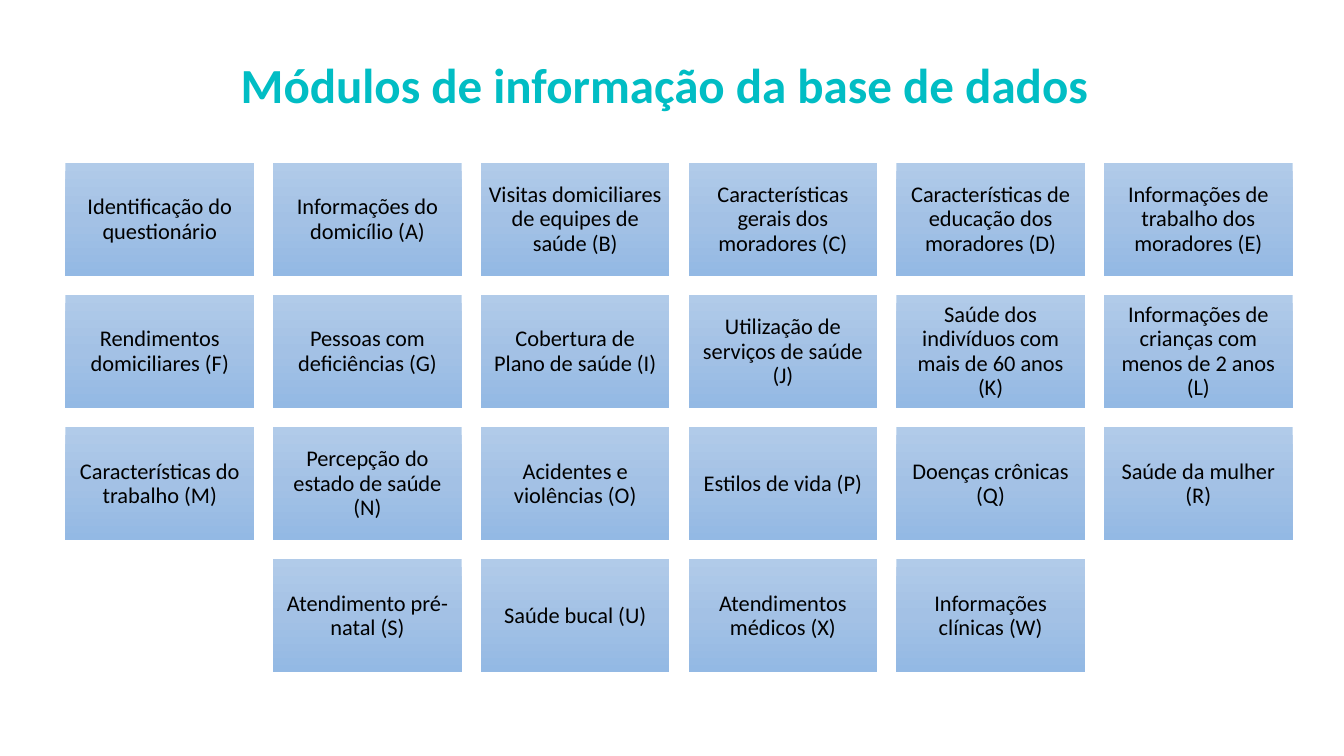
from copy import deepcopy

from pptx import Presentation
from pptx.dml.color import RGBColor
from pptx.enum.shapes import MSO_SHAPE
from pptx.enum.text import MSO_ANCHOR, MSO_AUTO_SIZE, PP_ALIGN
from pptx.oxml.ns import qn
from pptx.util import Inches, Pt

FONT = "Calibri"
TITLE_COLOR = "01BDC4"
TEXT_COLOR = "000000"
GRADIENT = [(0, "B1CBE9"), (0.5, "A3C1E5"), (1, "93B9E4")]

COLUMNS = 6
LEFT, TOP = 0.65, 1.62
BOX_WIDTH, BOX_HEIGHT = 1.87, 1.12
COLUMN_STEP, ROW_STEP = 2.06, 1.31
INSET = 0.07

MODULE_ROWS = [
    ["Identificação do questionário", "Informações do domicílio (A)",
     "Visitas domiciliares de equipes de saúde (B)",
     "Características gerais dos moradores (C)",
     "Características de educação dos moradores (D)",
     "Informações de trabalho dos moradores (E)"],
    ["Rendimentos domiciliares (F)", "Pessoas com deficiências (G)",
     "Cobertura de Plano de saúde (I)", "Utilização de serviços de saúde (J)",
     "Saúde dos indivíduos com mais de 60 anos (K)",
     "Informações de crianças com menos de 2 anos (L)"],
    ["Características do trabalho (M)", "Percepção do estado de saúde (N)",
     "Acidentes e violências (O)", "Estilos de vida (P)",
     "Doenças crônicas (Q)", "Saúde da mulher (R)"],
    ["Atendimento pré-natal (S)", "Saúde bucal (U)",
     "Atendimentos médicos (X)", "Informações clínicas (W)"],
]


def color(hex_string):
    return RGBColor.from_string(hex_string)


def write_text(shape, text, size, hex_string, bold=False, line_spacing=1.0):
    paragraph = shape.text_frame.paragraphs[0]
    paragraph.text = text
    paragraph.alignment = PP_ALIGN.CENTER
    paragraph.line_spacing = line_spacing
    font = paragraph.runs[0].font
    font.name = FONT
    font.size = Pt(size)
    font.bold = bold
    font.color.rgb = color(hex_string)


presentation = Presentation()
presentation.slide_width = Inches(13.33)
presentation.slide_height = Inches(7.5)
slide = presentation.slides.add_slide(presentation.slide_layouts[6])

# Module boxes, with a short row centred
for row, modules in enumerate(MODULE_ROWS):
    first_column = (COLUMNS - len(modules)) // 2
    for column, module in enumerate(modules, start=first_column):
        box = slide.shapes.add_shape(
            MSO_SHAPE.RECTANGLE,
            Inches(LEFT + column * COLUMN_STEP), Inches(TOP + row * ROW_STEP),
            Inches(BOX_WIDTH), Inches(BOX_HEIGHT))
        box.shadow.inherit = False
        box.line.fill.background()

        # Vertical gradient with three stops
        box.fill.gradient()
        box.fill.gradient_angle = 270
        stop_list = box._element.spPr.find(".//" + qn("a:gsLst"))
        stop_list.insert(1, deepcopy(stop_list[0]))
        for stop, (position, hex_string) in zip(box.fill.gradient_stops, GRADIENT):
            stop.position = position
            stop.color.rgb = color(hex_string)

        frame = box.text_frame
        frame.word_wrap = True
        frame.vertical_anchor = MSO_ANCHOR.MIDDLE
        frame.margin_left = frame.margin_right = Inches(INSET)
        frame.margin_top = frame.margin_bottom = Inches(INSET)
        write_text(box, module, size=16, hex_string=TEXT_COLOR, line_spacing=0.9)

# Title
title = slide.shapes.add_textbox(Inches(2.25), Inches(0.49), Inches(8.69), Inches(0.69))
title.text_frame.word_wrap = False
title.text_frame.auto_size = MSO_AUTO_SIZE.SHAPE_TO_FIT_TEXT
write_text(title, "Módulos de informação da base de dados",
           size=35, hex_string=TITLE_COLOR, bold=True)

presentation.save("out.pptx")
